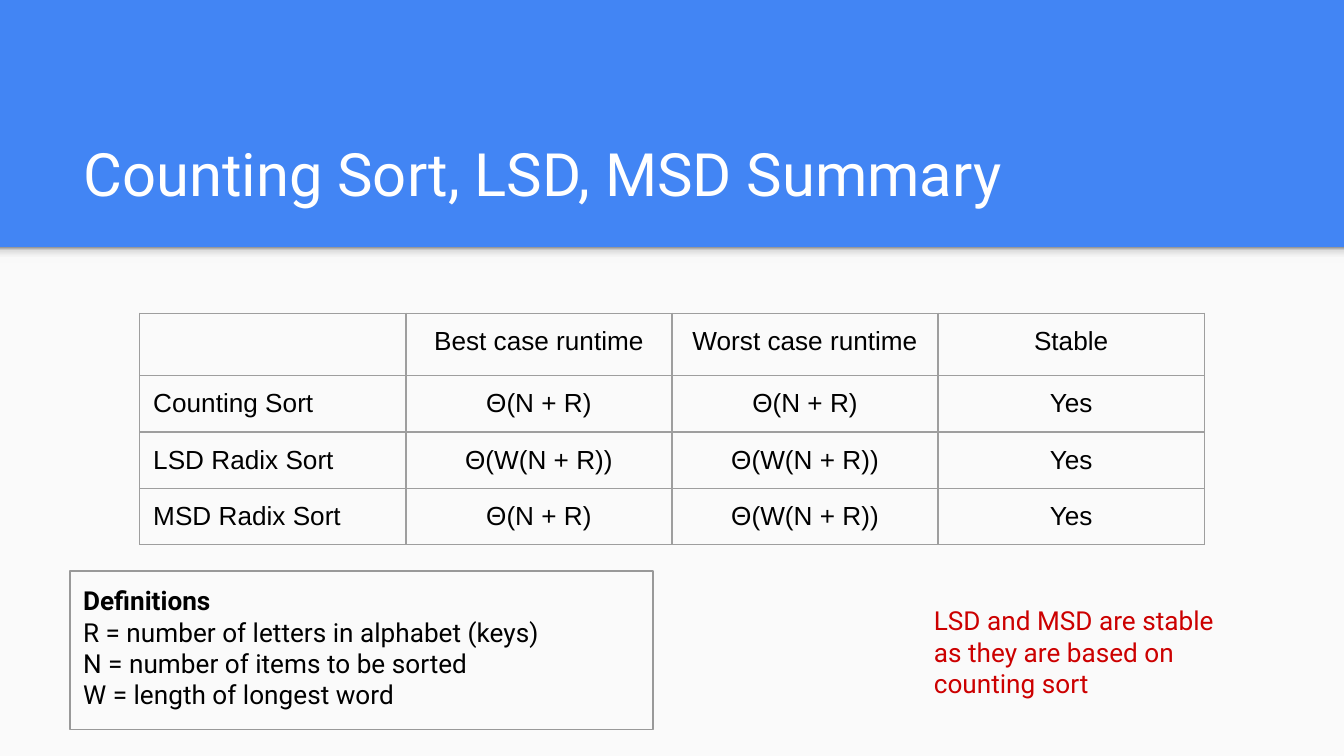
from lxml.etree import SubElement
from pptx import Presentation
from pptx.dml.color import RGBColor
from pptx.enum.shapes import MSO_SHAPE
from pptx.enum.text import MSO_ANCHOR, PP_ALIGN
from pptx.oxml.ns import qn
from pptx.util import Inches, Pt

WIDE = 10
HIGH = WIDE * 9 / 16
BAND = 1.84

BLUE = RGBColor(0x42, 0x85, 0xF4)
PAPER = RGBColor(0xFA, 0xFA, 0xFA)
WHITE = RGBColor(0xFF, 0xFF, 0xFF)
BLACK = RGBColor(0, 0, 0)
RED = RGBColor(0xCC, 0, 0)
FRAME = RGBColor(0x99, 0x99, 0x99)
GRID = RGBColor(0x9E, 0x9E, 0x9E)
SHADE = [(0, "F9F9F9"), (36, "F9F9F9"), (80, "DEDEDE"), (100, "999999")]

ROWS = [
    ("", "Best case runtime", "Worst case runtime", "Stable"),
    ("Counting Sort", "Θ(N + R)", "Θ(N + R)", "Yes"),
    ("LSD Radix Sort", "Θ(W(N + R))", "Θ(W(N + R))", "Yes"),
    ("MSD Radix Sort", "Θ(N + R)", "Θ(W(N + R))", "Yes"),
]
TERMS = [
    "Definitions",
    "R = number of letters in alphabet (keys)",
    "N = number of items to be sorted",
    "W = length of longest word",
]
NOTE = ["LSD and MSD are stable as they are based on counting sort"]


def style(para, size, name, color, align=PP_ALIGN.LEFT):
    para.alignment = align
    para.font.size = Pt(size)
    para.font.name = name
    para.font.color.rgb = color


def pad(item):
    """Set equal insets on a text frame or table cell."""
    item.margin_left = item.margin_right = Inches(0.1)
    item.margin_top = item.margin_bottom = Inches(0.1)


def write(frame, lines, size, color, anchor=MSO_ANCHOR.TOP):
    pad(frame)
    frame.word_wrap = True
    frame.vertical_anchor = anchor
    frame.text = "\n".join(lines)
    for para in frame.paragraphs:
        style(para, size, "Roboto", color)


def add_rect(slide, left, top, width, height):
    rect = slide.shapes.add_shape(
        MSO_SHAPE.RECTANGLE, Inches(left), Inches(top), Inches(width), Inches(height))
    rect.shadow.inherit = False
    rect.fill.background()
    rect.line.fill.background()
    return rect


def add_panel(slide, left, top, width, height):
    """Light body area with a soft shade along its top edge."""
    body = add_rect(slide, left, top, width, height)
    body.fill.solid()
    body.fill.fore_color.rgb = PAPER

    shade = add_rect(slide, left, top, width, 0.12)
    shade.fill.gradient()
    shade.fill.gradient_angle = 90
    stops = next(shade.element.iter(qn("a:gsLst")))
    for stop in list(stops):
        stops.remove(stop)
    for place, color in SHADE:
        stop = SubElement(stops, qn("a:gs"), pos=str(place * 1000))
        SubElement(stop, qn("a:srgbClr"), val=color)


def set_title(slide, left, top, width, height):
    title = slide.shapes.title
    title.left, title.top = Inches(left), Inches(top)
    title.width, title.height = Inches(width), Inches(height)
    write(title.text_frame, ["Counting Sort, LSD, MSD Summary"], 32, WHITE,
          MSO_ANCHOR.BOTTOM)


def add_edges(cell):
    props = cell.fill._xPr
    for index, side in enumerate(("lnL", "lnR", "lnT", "lnB")):
        edge = props.makeelement(qn("a:" + side), {"w": str(Pt(0.75))})
        fill = SubElement(edge, qn("a:solidFill"))
        SubElement(fill, qn("a:srgbClr"), val=str(GRID))
        props.insert(index, edge)


def size_blank(para):
    """Set the font that gives an empty cell its height."""
    mark = SubElement(para._p, qn("a:endParaRPr"), sz="1700")
    SubElement(mark, qn("a:latin"), typeface="Arial")


def add_grid(slide, left, top, width, height):
    grid = slide.shapes.add_table(
        len(ROWS), len(ROWS[0]), Inches(left), Inches(top),
        Inches(width), Inches(height)).table
    grid.first_row = grid.horz_banding = False
    for r, row in enumerate(ROWS):
        for c, text in enumerate(row):
            cell = grid.cell(r, c)
            pad(cell)
            cell.fill.background()
            add_edges(cell)
            para = cell.text_frame.paragraphs[0]
            if text:
                para.text = text
                style(para, 14, "Arial", BLACK,
                      PP_ALIGN.CENTER if c else PP_ALIGN.LEFT)
            else:
                size_blank(para)


def add_terms(slide, left, top, width, height):
    box = add_rect(slide, left, top, width, height)
    box.line.color.rgb = FRAME
    box.line.width = Pt(0.75)
    write(box.text_frame, TERMS, 14, BLACK)
    box.text_frame.paragraphs[0].font.bold = True


def add_note(slide, left, top, width, height):
    box = slide.shapes.add_textbox(
        Inches(left), Inches(top), Inches(width), Inches(height))
    write(box.text_frame, NOTE, 14, RED)


def main():
    deck = Presentation()
    deck.slide_width, deck.slide_height = Inches(WIDE), Inches(HIGH)
    slide = deck.slides.add_slide(deck.slide_layouts[5])
    slide.background.fill.solid()
    slide.background.fill.fore_color.rgb = BLUE
    add_panel(slide, 0, BAND, WIDE, HIGH - BAND)
    set_title(slide, 0.52, 0.81, 8.99, 0.84)
    add_grid(slide, 1.04, 2.33, 7.92, 1.68)
    add_terms(slide, 0.52, 4.25, 4.34, 1.18)
    add_note(slide, 6.85, 4.4, 2.38, 0.57)
    deck.save("out.pptx")


if __name__ == "__main__":
    main()
